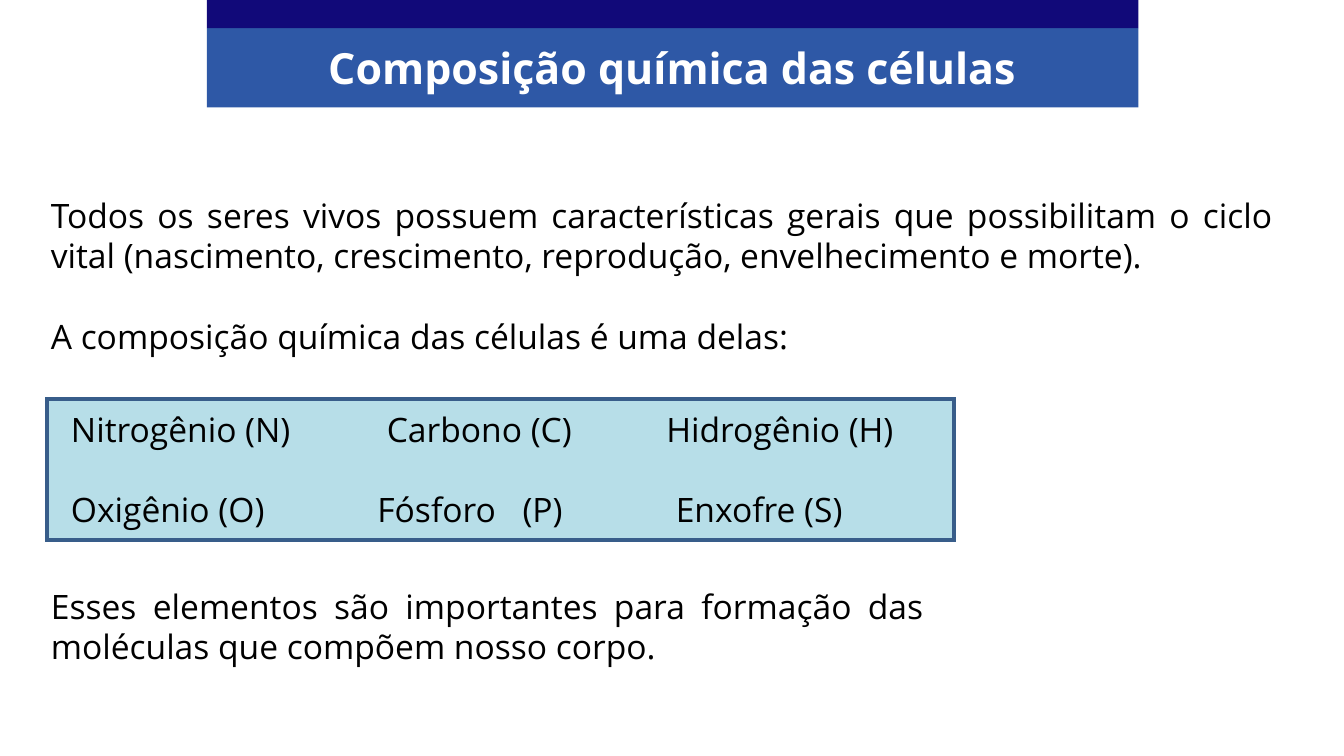
import pptx
import pptx.dml.color
import pptx.enum.shapes
import pptx.enum.text
import pptx.oxml
import pptx.util
from dataclasses import dataclass

Inches, Pt = pptx.util.Inches, pptx.util.Pt
RGB = pptx.dml.color.RGBColor.from_string
ALIGN = pptx.enum.text.PP_ALIGN


@dataclass(frozen=True)
class Theme:
    font: str = "Open Sans"
    body_size: int = 18
    title_size: int = 23
    leading: float = 1.2
    text: str = "000000"
    title: str = "FFFFFF"
    navy: str = "110979"
    blue: str = "2E58A6"
    panel: str = "B7DEE8"
    border: str = "385D8A"


def write(p, text, theme, *, size, color, bold=False, align=ALIGN.JUSTIFY,
          before=0, tabs=()):
    """Fill a paragraph; tabs are stops in inches from the text edge."""
    p.alignment = align
    p.line_spacing = Pt(size * theme.leading)
    p.space_before = Pt(before)
    if tabs:
        pPr = p._p.get_or_add_pPr()
        tab_list = pPr.makeelement(pptx.oxml.ns.qn("a:tabLst"), {})
        for stop in tabs:
            tab_list.append(pPr.makeelement(pptx.oxml.ns.qn("a:tab"),
                                            {"pos": str(Inches(stop)), "algn": "l"}))
        pPr.append(tab_list)
    r = p.add_run()
    r.text = text
    r.font.name, r.font.size, r.font.bold = theme.font, Pt(size), bold
    r.font.color.rgb = RGB(color)


class SlideBuilder:
    def __init__(self, slide, theme):
        self.s, self.theme = slide, theme

    def rect(self, x, y, w, h, fill, line=None):
        sp = self.s.shapes.add_shape(pptx.enum.shapes.MSO_SHAPE.RECTANGLE,
                                     Inches(x), Inches(y), Inches(w), Inches(h))
        sp.shadow.inherit = False
        sp.fill.solid()
        sp.fill.fore_color.rgb = RGB(fill)
        if line:
            sp.line.color.rgb = RGB(line)
            sp.line.width = Pt(2)
            # Square corners
            ln = sp.line._get_or_add_ln()
            ln.append(ln.makeelement(pptx.oxml.ns.qn("a:miter"), {"lim": "800000"}))
        else:
            sp.line.fill.background()

    def text(self, x, y, w, h, paragraphs, tabs=None, **style):
        """Add paragraphs one blank line apart, with optional tab stops for each."""
        style = {"size": self.theme.body_size, "color": self.theme.text, **style}
        tf = self.s.shapes.add_textbox(Inches(x), Inches(y), Inches(w), Inches(h)).text_frame
        tf.word_wrap = True
        gap = style["size"] * self.theme.leading
        for i, text in enumerate(paragraphs):
            p = tf.add_paragraph() if i else tf.paragraphs[0]
            write(p, text, self.theme, before=gap if i else 0,
                  tabs=tabs[i] if tabs else (), **style)


def main():
    prs = pptx.Presentation()
    prs.slide_width = Inches(10)
    prs.slide_height = prs.slide_width * 9 // 16
    theme = Theme()
    b = SlideBuilder(prs.slides.add_slide(prs.slide_layouts[6]), theme)

    # Panel and title band
    b.rect(0.35, 2.97, 6.75, 1.05, theme.panel, theme.border)
    b.rect(1.54, 0.21, 6.93, 0.59, theme.blue)
    b.rect(1.54, 0, 6.93, 0.21, theme.navy)

    # Introduction
    b.text(0.28, 1.4, 9.29, 1.31, [
        "Todos os seres vivos possuem características gerais que possibilitam o ciclo "
        "vital (nascimento, crescimento, reprodução, envelhecimento e morte).",
        "A composição química das células é uma delas:",
    ])

    # Title
    b.text(1.54, 0.26, 6.93, 0.49, ["Composição química das células"],
           size=theme.title_size, color=theme.title, bold=True, align=ALIGN.CENTER)

    # Chemical elements
    b.text(0.43, 2.99, 7.34, 1.01, [
        "Nitrogênio (N)\tCarbono (C)\tHidrogênio (H)",
        "Oxigênio (O)\tFósforo\t(P)\tEnxofre (S)",
    ], tabs=[(2.35, 4.43), (2.28, 3.36, 4.5)], align=ALIGN.LEFT)

    # Conclusion
    b.text(0.28, 4.31, 6.69, 0.71, [
        "Esses elementos são importantes para formação das moléculas que compõem nosso corpo.",
    ])

    prs.save("out.pptx")


if __name__ == "__main__":
    main()
